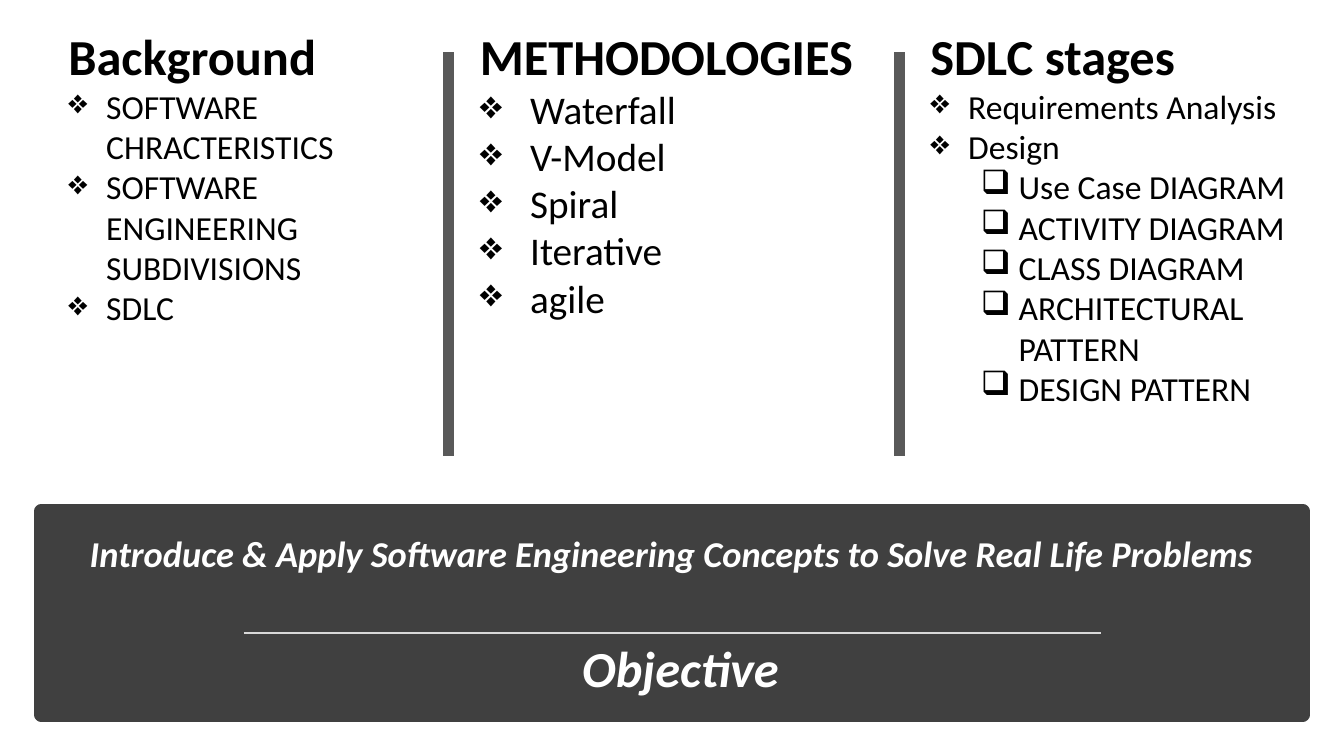
from dataclasses import dataclass

from lxml import etree
from pptx import Presentation
from pptx.dml.color import RGBColor as Color
from pptx.enum.shapes import MSO_CONNECTOR as Connector, MSO_SHAPE as Shape
from pptx.enum.text import MSO_ANCHOR as Anchor, MSO_AUTO_SIZE as AutoSize, PP_ALIGN as Align
from pptx.oxml.ns import qn
from pptx.util import Inches, Pt

# Content: each item is (level, text)
COLUMNS = [
    {"heading": "Background", "left": 0.58, "width": 3.65, "height": 3.13,
     "size": 24, "hang": 0.375,
     "items": [(0, "SOFTWARE CHRACTERISTICS"),
               (0, "SOFTWARE ENGINEERING SUBDIVISIONS"),
               (0, "SDLC")]},
    {"heading": "METHODOLOGIES", "left": 4.66, "width": 4.25, "height": 3.06,
     "size": 28, "hang": 0.5,
     "items": [(0, "Waterfall"), (0, "V-Model"), (0, "Spiral"),
               (0, "Iterative"), (0, "agile")]},
    {"heading": "SDLC stages", "left": 9.13, "width": 4.2, "height": 4.34,
     "size": 24, "hang": 0.375,
     "items": [(0, "Requirements Analysis"), (0, "Design"),
               (1, "Use Case DIAGRAM"), (1, "ACTIVITY DIAGRAM"),
               (1, "CLASS DIAGRAM"), (1, "ARCHITECTURAL PATTERN"),
               (1, "DESIGN PATTERN")]},
]
TITLE = "Objective"
OBJECTIVE = "Introduce & Apply Software Engineering Concepts to Solve Real Life Problems"
BULLETS = ["❖", "❑"]
DIVIDERS = [4.45, 8.92]


@dataclass(frozen=True)
class Theme:
    font: str = "Calibri"
    ink: Color = Color(0, 0, 0)
    light: Color = Color(0xFF, 0xFF, 0xFF)
    band: Color = Color(0x40, 0x40, 0x40)
    divider: Color = Color(0x59, 0x59, 0x59)
    rule: Color = Color(0xD9, 0xD9, 0xD9)
    heading_size: int = 36
    objective_size: int = 26


THEME = Theme()


def add_span(para, text, size, color, bold=False, italic=False):
    span = para.add_run()
    span.text = text
    font = span.font
    font.name, font.size, font.color.rgb = THEME.font, Pt(size), color
    font.bold, font.italic = bold, italic


def add_bullet(para, level, hang):
    para.level = level
    props = para._p.get_or_add_pPr()
    props.set("marL", str(Inches(hang + 0.5 * level)))
    props.set("indent", str(-Inches(hang)))
    etree.SubElement(props, qn("a:buChar")).set("char", BULLETS[level])


def add_line(page, start, end, color, width):
    line = page.shapes.add_connector(
        Connector.STRAIGHT, *(Inches(value) for value in (*start, *end)))
    line.line.color.rgb, line.line.width = color, Pt(width)
    etree.SubElement(line._element.spPr, qn("a:effectLst"))


def add_box(page, left, top, width, height):
    box = page.shapes.add_textbox(
        Inches(left), Inches(top), Inches(width), Inches(height))
    box.text_frame.word_wrap = True
    box.text_frame.auto_size = AutoSize.SHAPE_TO_FIT_TEXT
    return box.text_frame


def add_column(page, column):
    frame = add_box(page, column["left"], 0.2, column["width"], column["height"])
    add_span(frame.paragraphs[0], column["heading"], THEME.heading_size, THEME.ink, bold=True)
    for level, text in column["items"]:
        para = frame.add_paragraph()
        add_bullet(para, level, column["hang"])
        add_span(para, text, column["size"], THEME.ink)


def add_band(page):
    band = page.shapes.add_shape(
        Shape.RECTANGLE, Inches(0.41), Inches(5.07), Inches(12.51), Inches(2.02))
    band.shadow.inherit = False
    band.fill.solid()
    band.fill.fore_color.rgb = band.line.color.rgb = THEME.band
    band.line.width = Pt(10)
    return band


def place_title(page, band):
    title = page.shapes.title
    title.left, title.top = Inches(0.58), Inches(5.96)
    title.width, title.height = Inches(12.34), Inches(1.02)
    frame = title.text_frame
    frame.word_wrap, frame.auto_size = True, AutoSize.NONE
    frame.vertical_anchor = Anchor.BOTTOM
    para = frame.paragraphs[0]
    para.alignment, para.line_spacing = Align.CENTER, 0.9
    add_span(para, TITLE, THEME.heading_size, THEME.light, bold=True, italic=True)
    band._element.addnext(title._element)  # bring the title in front of the band


def main():
    deck = Presentation()
    deck.slide_width, deck.slide_height = Inches(13.33), Inches(7.5)
    page = deck.slides.add_slide(deck.slide_layouts[5])

    # Objective band with its title and rule
    place_title(page, add_band(page))
    add_line(page, (2.42, 6.28), (10.92, 6.28), THEME.rule, 1.75)

    # Three topic columns and the dividers between them
    for x in DIVIDERS:
        add_line(page, (x, 0.52), (x, 4.52), THEME.divider, 8)
    for column in COLUMNS:
        add_column(page, column)

    # Objective statement
    para = add_box(page, 0.41, 5.22, 12.51, 0.54).paragraphs[0]
    para.alignment = Align.CENTER
    add_span(para, OBJECTIVE, THEME.objective_size, THEME.light, bold=True, italic=True)

    deck.save("out.pptx")


if __name__ == "__main__":
    main()
